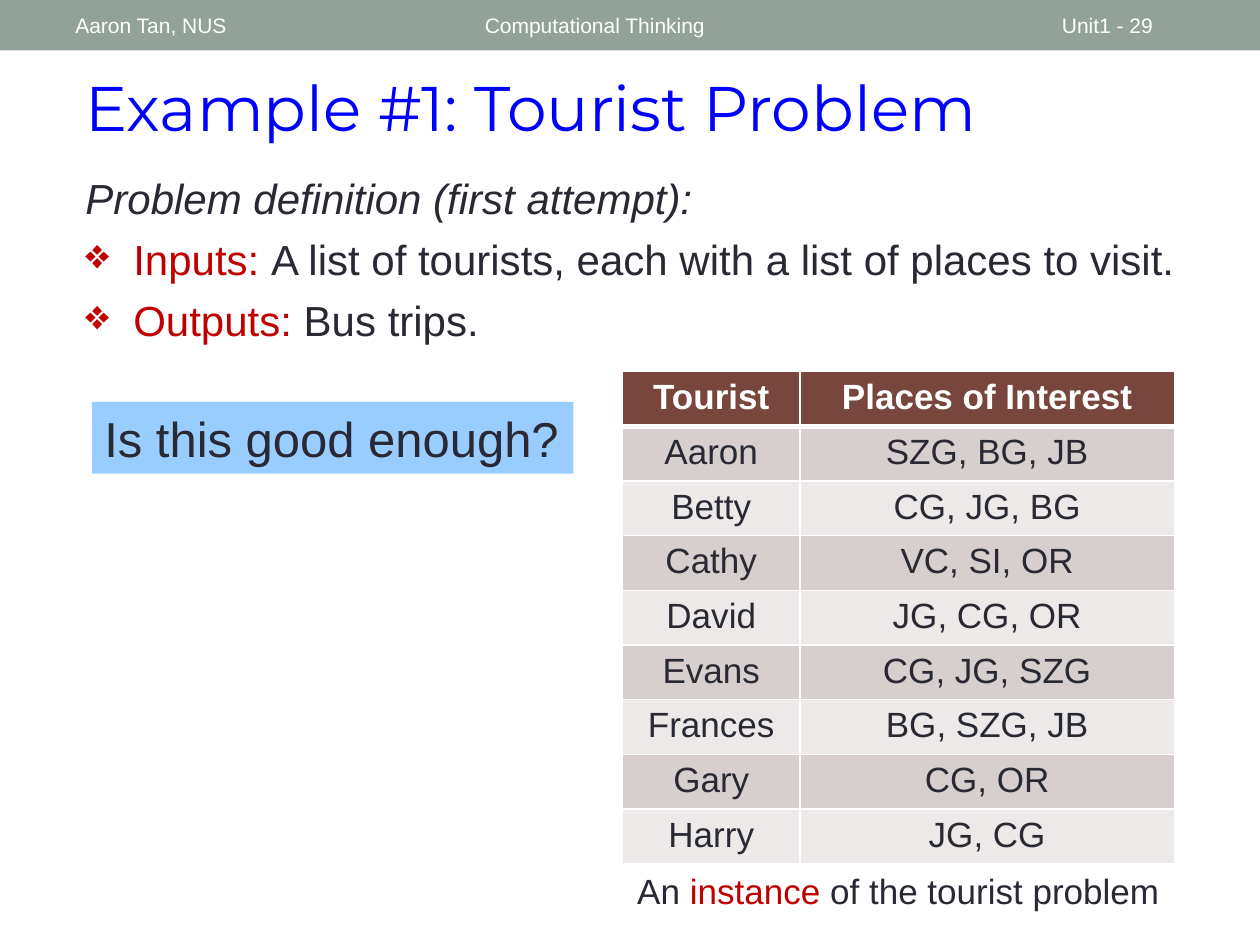
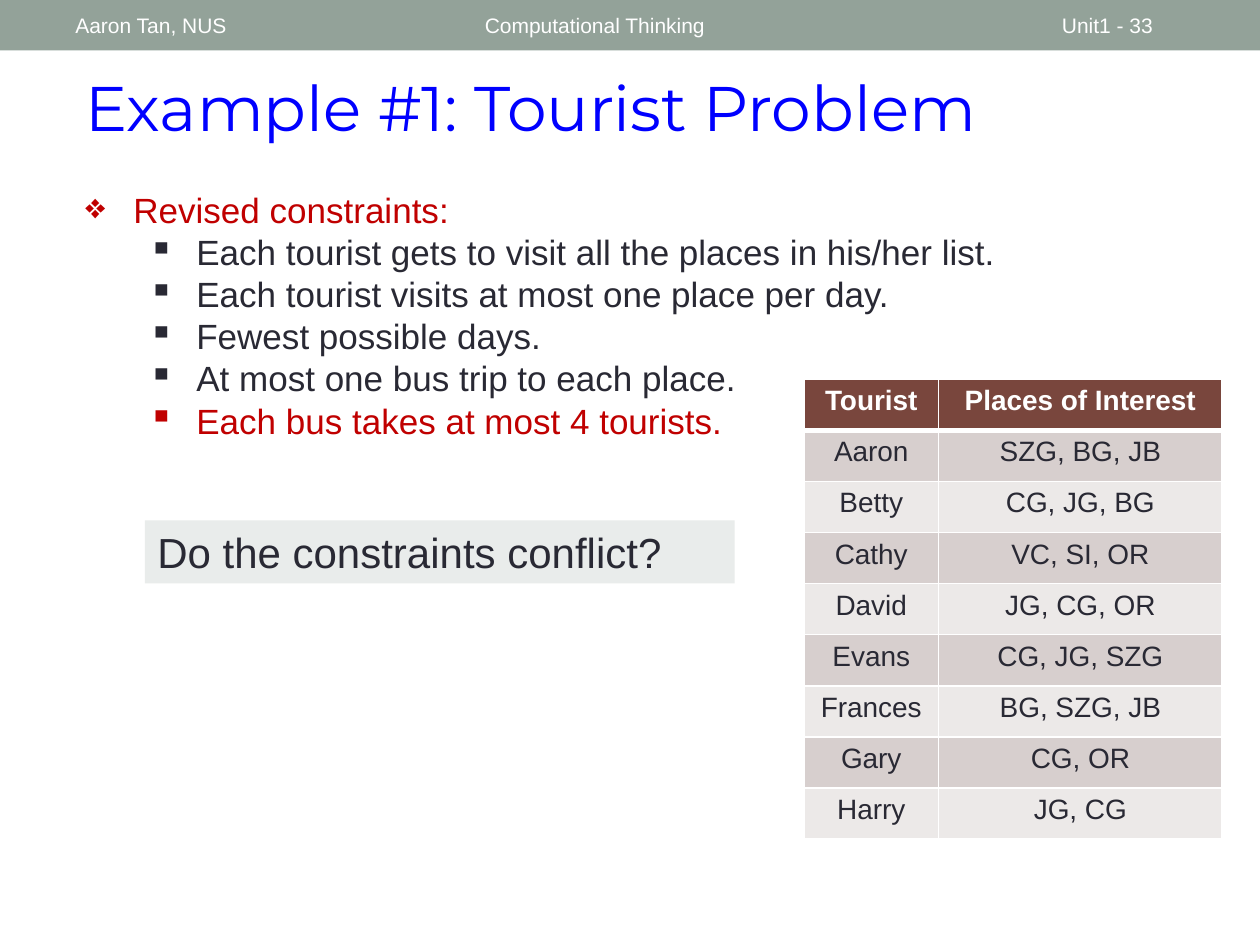
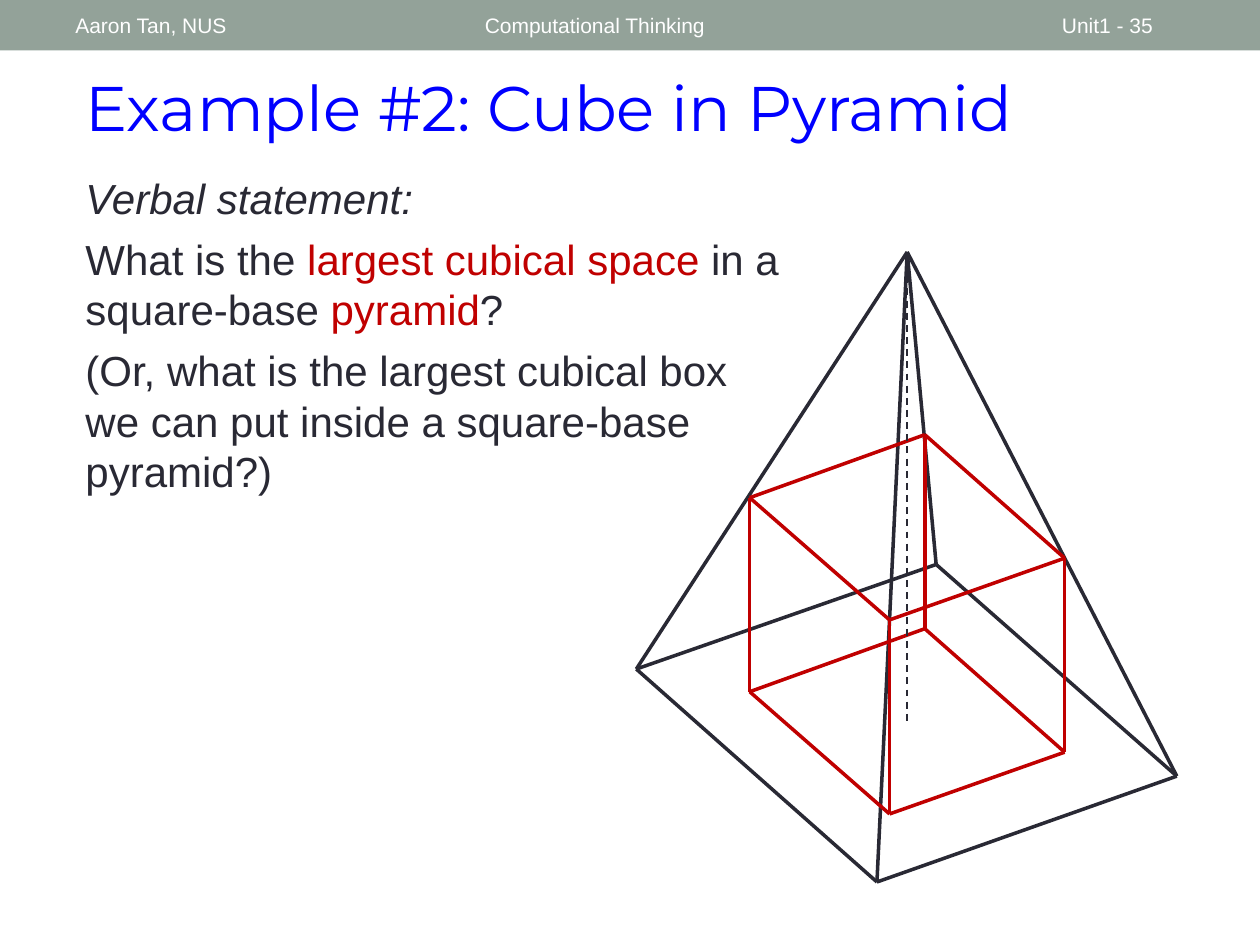
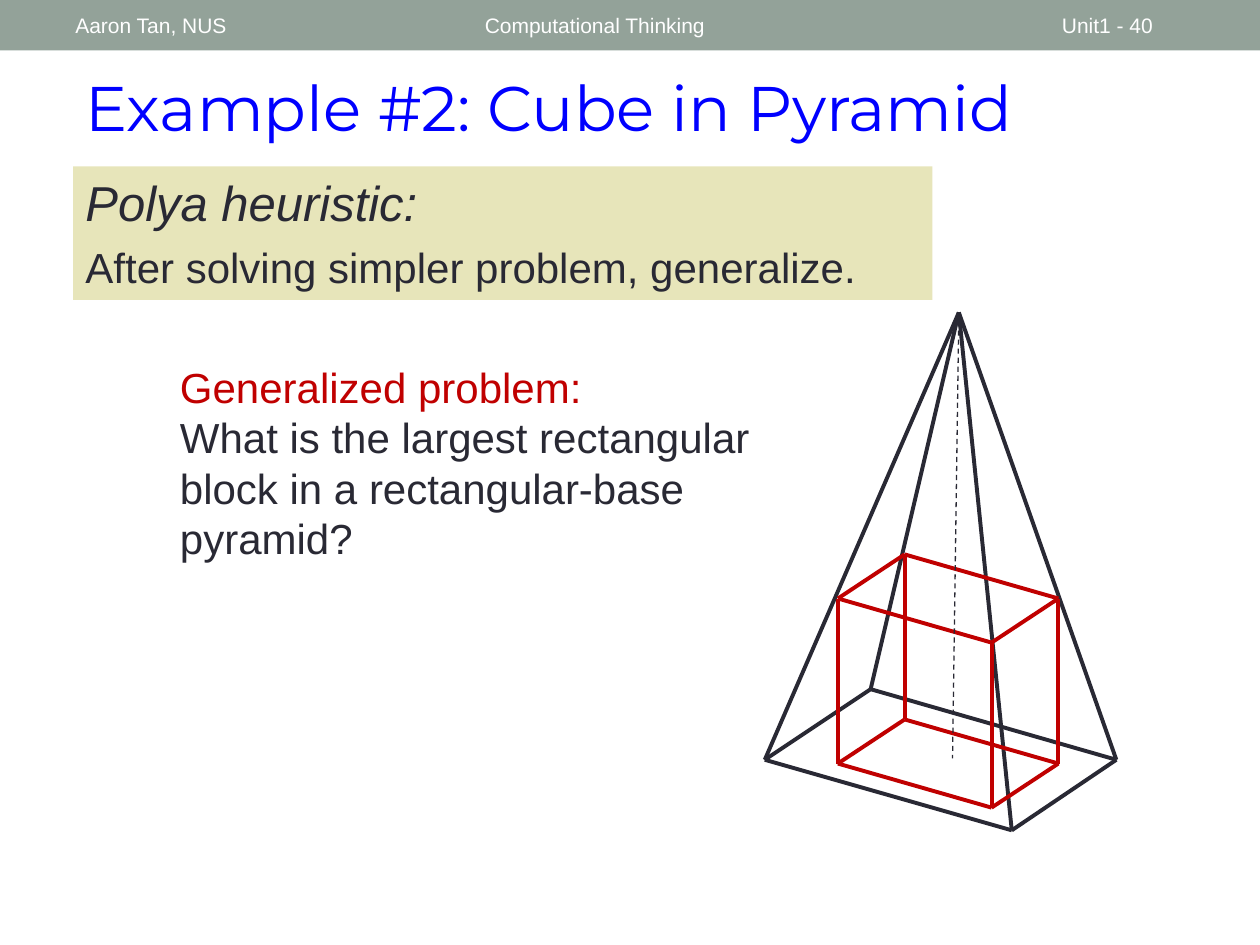
from dataclasses import dataclass

from lxml import etree
from pptx import Presentation
from pptx.dml.color import RGBColor
from pptx.enum.dml import MSO_LINE
from pptx.enum.shapes import MSO_CONNECTOR, MSO_SHAPE
from pptx.enum.text import MSO_ANCHOR, MSO_AUTO_SIZE, PP_ALIGN
from pptx.oxml.ns import qn
from pptx.util import Inches, Pt

LEFT, CENTER = PP_ALIGN.LEFT, PP_ALIGN.CENTER
TOP, MIDDLE = MSO_ANCHOR.TOP, MSO_ANCHOR.MIDDLE
GROW, FIXED = MSO_AUTO_SIZE.SHAPE_TO_FIT_TEXT, MSO_AUTO_SIZE.NONE
RECTANGLE = MSO_SHAPE.RECTANGLE
STRAIGHT = MSO_CONNECTOR.STRAIGHT
DASH = MSO_LINE.DASH
TITLE_ONLY = 5


@dataclass(frozen=True)
class Theme:
    # Colours
    ink: str = "292934"
    accent: str = "C00000"
    white: str = "FFFFFF"
    title: str = "0000FF"
    band: str = "93A299"
    header_row: str = "79463D"
    odd_row: str = "D7CFCE"
    even_row: str = "ECE9E8"
    blue_box: str = "99CCFF"
    grey_box: str = "E9ECEB"
    olive_box: str = "E7E5BA"
    # Fonts and type sizes
    body_font: str = "Arial"
    title_font: str = "Montserrat"
    title_size: int = 36
    large: int = 28
    body: int = 24
    medium: int = 20
    small: int = 16
    running: int = 12


THEME = Theme()


def set_all(target, values):
    for name, value in values.items():
        setattr(target, name, value)


def box(left, top, width, height):
    return [Inches(length) for length in (left, top, width, height)]


def para(*runs, **layout):
    """A run is a plain string or a (string, font values) pair."""
    return runs, layout


def red(text):
    return text, {"color": THEME.accent}


class Deck:
    def __init__(self, theme):
        self.theme = theme
        self.file = Presentation()
        set_all(self.file, {"slide_width": Inches(10), "slide_height": Inches(7.5)})
        self.layout = self.file.slide_layouts[TITLE_ONLY]
        self.slide = None

    def start(self, title, number):
        first = self.slide is None
        self.slide = self.file.slides.add_slide(self.layout)
        if first:
            self.band()
        # Running header
        for text, left, width in (("Computational Thinking", 3.75, 4.5),
                                  (f"Unit1 - {number}", 8.33, 1.17),
                                  ("Aaron Tan, NUS", 0.5, 3.17)):
            self.text((left, 0.02, width, 0.36), [para(text)], self.theme.running,
                      color=self.theme.white, anchor=MIDDLE, fit=FIXED)
        # Title
        heading = self.slide.shapes.title
        left, top, width, height = box(0.58, 0.49, 8.49, 0.71)
        set_all(heading, {"left": left, "top": top, "width": width, "height": height})
        self.fill_text(heading.text_frame, [para(title)], self.theme.title_size,
                       color=self.theme.title, font=self.theme.title_font)

    def band(self):
        """Draw the top band and move it to the shared layout."""
        band = self.rectangle((0, 0, 10, 0.4), self.theme.band)
        self.layout.shapes.element.append(band.element)

    def rectangle(self, place, fill):
        shape = self.slide.shapes.add_shape(RECTANGLE, *box(*place))
        shape.shadow.inherit = False
        shape.fill.solid()
        shape.fill.fore_color.rgb = RGBColor.from_string(fill)
        shape.line.fill.background()
        return shape

    def text(self, place, paragraphs, size, fill=None, **style):
        if fill:
            shape = self.rectangle(place, fill)
        else:
            shape = self.slide.shapes.add_textbox(*box(*place))
        self.fill_text(shape.text_frame, paragraphs, size, **style)

    def fill_text(self, frame, paragraphs, size, color=None, font=None, anchor=TOP, fit=GROW):
        set_all(frame, {"word_wrap": True, "auto_size": fit, "vertical_anchor": anchor})
        for index, (runs, layout) in enumerate(paragraphs):
            paragraph = frame.add_paragraph() if index else frame.paragraphs[0]
            layout = {"alignment": LEFT, **layout}
            bullet, indent = layout.pop("bullet", None), layout.pop("indent", 0)
            set_all(paragraph, layout)
            if bullet:
                self.bullet(paragraph, bullet, indent)
            for item in runs:
                words, values = item if isinstance(item, tuple) else (item, {})
                self.run(paragraph, words, {"size": size, "color": color or self.theme.ink,
                                            "name": font or self.theme.body_font, **values})

    def run(self, paragraph, words, values):
        run = paragraph.add_run()
        run.text = words
        run.font.color.rgb = RGBColor.from_string(values.pop("color"))
        values["size"] = Pt(values["size"])
        set_all(run.font, values)

    def bullet(self, paragraph, mark, indent):
        properties = paragraph._p.get_or_add_pPr()
        properties.set("marL", str(Inches(indent)))
        properties.set("indent", str(-Inches(0.38)))
        etree.SubElement(properties, qn("a:buChar"), char=mark)

    def table(self, place, column_widths, rows, size):
        theme = self.theme
        table = self.slide.shapes.add_table(len(rows), len(column_widths), *box(*place)).table
        for column, width in zip(table.columns, column_widths):
            column.width = Inches(width)
        for r, row in enumerate(rows):
            table.rows[r].height = Inches(place[3] / len(rows))
            fill = theme.header_row if r == 0 else (theme.even_row, theme.odd_row)[r % 2]
            for c, words in enumerate(row):
                cell = table.cell(r, c)
                run = (words, {"bold": r == 0})
                self.fill_text(cell.text_frame, [para(run, alignment=CENTER)], size,
                               color=theme.ink if r else theme.white)
                # Borders go before the fill in the cell properties
                self.borders(cell, top=3 if r == 1 else 1, bottom=1 if r else 3)
                cell.fill.solid()
                cell.fill.fore_color.rgb = RGBColor.from_string(fill)

    def borders(self, cell, top, bottom):
        properties = cell._tc.get_or_add_tcPr()
        for side, width in (("L", 1), ("R", 1), ("T", top), ("B", bottom)):
            line = etree.SubElement(properties, qn(f"a:ln{side}"), w=str(Pt(width)))
            solid = etree.SubElement(line, qn("a:solidFill"))
            etree.SubElement(solid, qn("a:srgbClr"), val=self.theme.white)

    def line(self, group, start, end, color, width, dash=None):
        ends = [Inches(value) for value in (*start, *end)]
        line = group.shapes.add_connector(STRAIGHT, *ends)
        line.line.color.rgb = RGBColor.from_string(color)
        set_all(line.line, {"width": Pt(width), "dash_style": dash})
        etree.SubElement(line.element.spPr, qn("a:effectLst"))

    def block_in_pyramid(self, apex, base, lid, height, foot, width, axis_width):
        """Corners of base and lid run around: left, front, right, back."""
        group = self.slide.shapes.add_group_shape()
        floor = [(x, y + height) for x, y in lid]
        pyramid = ring(base) + [(apex, corner) for corner in base]
        block = ring(lid) + ring(floor) + list(zip(lid, floor))
        for edges, color in ((pyramid, self.theme.ink), (block, self.theme.accent)):
            for start, end in edges:
                self.line(group, start, end, color, width)
        self.line(group, apex, foot, self.theme.ink, axis_width, DASH)


def ring(corners):
    return list(zip(corners, corners[1:] + corners[:1]))


TOURISTS = [
    ("Tourist", "Places of Interest"),
    ("Aaron", "SZG, BG, JB"),
    ("Betty", "CG, JG, BG"),
    ("Cathy", "VC, SI, OR"),
    ("David", "JG, CG, OR"),
    ("Evans", "CG, JG, SZG"),
    ("Frances", "BG, SZG, JB"),
    ("Gary", "CG, OR"),
    ("Harry", "JG, CG"),
]
TOURIST_TITLE = "Example #1: Tourist Problem"
CUBE_TITLE = "Example #2: Cube in Pyramid"
ITALIC = {"italic": True}
SPACED = {"space_after": Pt(6)}
DIAMOND = {"bullet": "❖", "indent": 0.38}
SQUARE = {"bullet": "▪", "indent": 0.88, "level": 1}


def tourist_definition(deck):
    deck.start(TOURIST_TITLE, 29)
    deck.text((0.58, 1.32, 8.92, 1.48), [
        para(("Problem definition (first attempt):", ITALIC), **SPACED),
        para(red("Inputs: "), "A list of tourists, each with a list of places to visit.",
             **SPACED, **DIAMOND),
        para(red("Outputs: "), "Bus trips.", **SPACED, **DIAMOND),
    ], THEME.body)
    deck.table((4.94, 2.95, 4.38, 3.9), (1.41, 2.97), TOURISTS, THEME.medium)
    deck.text((0.73, 3.19, 3.82, 0.57), [para("Is this good enough?")],
              THEME.large, fill=THEME.blue_box)
    deck.text((4.94, 6.85, 4.38, 0.44), [
        para("An ", red("instance"), " of the tourist problem", alignment=CENTER),
    ], THEME.medium)


def tourist_constraints(deck):
    deck.start(TOURIST_TITLE, 33)
    constraints = [
        "Each tourist gets to visit all the places in his/her list.",
        "Each tourist visits at most one place per day.",
        "Fewest possible days.",
        "At most one bus trip to each place.",
        red("Each bus takes at most 4 tourists."),
    ]
    deck.text((0.58, 1.45, 8.92, 2.12),
              [para(red("Revised constraints:"), **DIAMOND)]
              + [para(constraint, **SQUARE) for constraint in constraints], THEME.medium)
    deck.table((6.38, 3.01, 3.32, 3.65), (1.07, 2.25), TOURISTS, THEME.small)
    deck.text((1.15, 4.13, 4.68, 0.5), [para("Do the constraints conflict?")],
              THEME.body, fill=THEME.grey_box)


def cube_statement(deck):
    deck.start(CUBE_TITLE, 35)
    deck.text((0.58, 1.32, 5.71, 2.69), [
        para(("Verbal statement:", ITALIC), **SPACED),
        para("What is the ", red("largest cubical space "), "in a square-base ",
             red("pyramid"), "?", **SPACED),
        para("(Or, what is the largest cubical box we can put inside a "
             "square-base pyramid?)", **SPACED),
    ], THEME.body)
    deck.block_in_pyramid(
        apex=(7.2, 2), foot=(7.2, 5.72),
        base=[(5.05, 5.31), (6.96, 7), (9.34, 6.16), (7.43, 4.48)],
        lid=[(5.95, 3.95), (7.06, 4.92), (8.45, 4.43), (7.34, 3.45)],
        height=1.54, width=2, axis_width=1)


def cube_generalized(deck):
    deck.start(CUBE_TITLE, 40)
    deck.text((0.58, 1.32, 6.82, 1.06), [
        para(("Polya heuristic:", {"italic": True, "size": THEME.large}), **SPACED),
        para("After solving simpler problem, generalize.", **SPACED),
    ], THEME.body, fill=THEME.olive_box)
    deck.text((1.33, 2.82, 5.18, 1.72), [
        para(red("Generalized problem:")),
        para("What is the largest rectangular block in a rectangular-base pyramid?"),
    ], THEME.body)
    deck.block_in_pyramid(
        apex=(7.61, 2.48), foot=(7.56, 6.02),
        base=[(6.07, 6.03), (8.03, 6.59), (8.86, 6.03), (6.91, 5.47)],
        lid=[(6.65, 4.75), (7.87, 5.1), (8.4, 4.75), (7.18, 4.4)],
        height=1.31, width=2.25, axis_width=0.75)


def main():
    deck = Deck(THEME)
    for build in (tourist_definition, tourist_constraints, cube_statement, cube_generalized):
        build(deck)
    deck.file.save("out.pptx")


if __name__ == "__main__":
    main()
